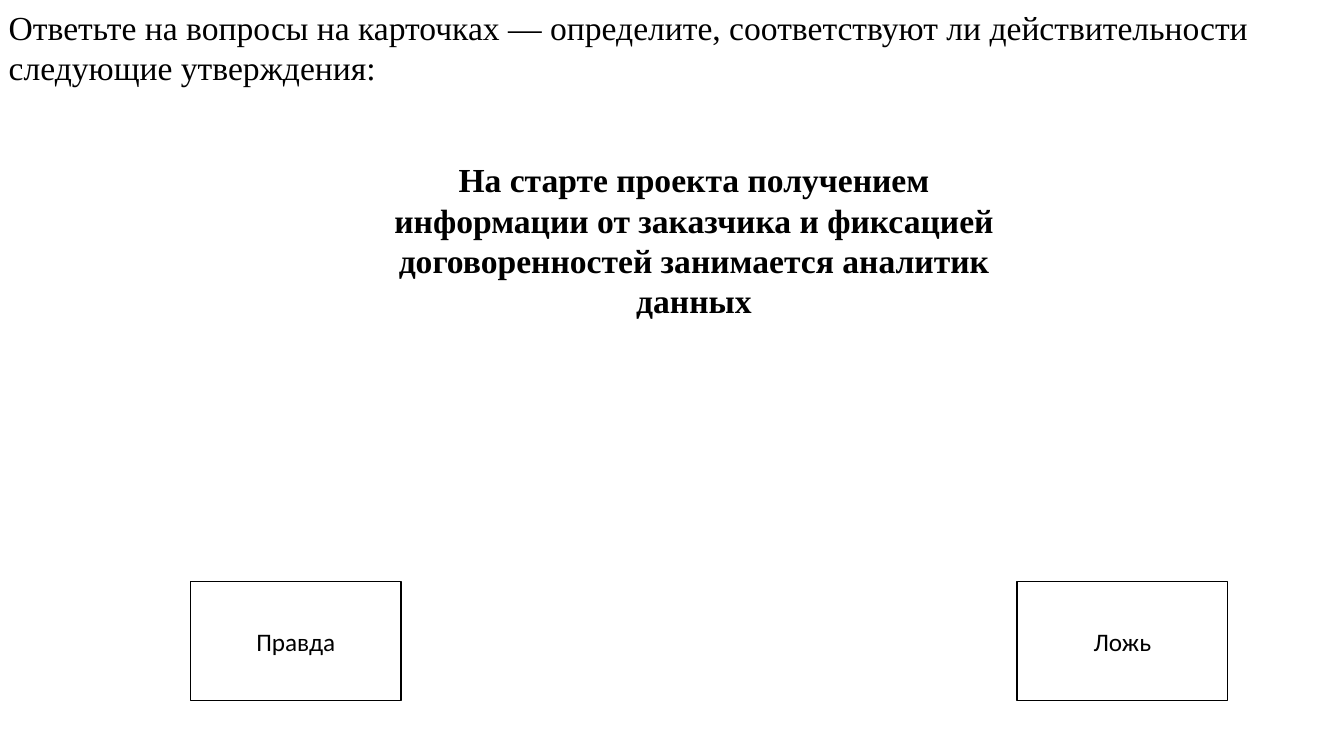
from dataclasses import dataclass

from pptx import Presentation
from pptx.dml.color import RGBColor
from pptx.enum.shapes import MSO_SHAPE
from pptx.enum.text import MSO_ANCHOR, MSO_AUTO_SIZE, PP_ALIGN
from pptx.slide import Slide
from pptx.text.text import TextFrame
from pptx.util import Cm, Pt


@dataclass(frozen=True)
class Theme:
    ink: RGBColor = RGBColor(0, 0, 0)
    paper: RGBColor = RGBColor(255, 255, 255)
    text_font: str = "Times New Roman"
    answer_font: str = "Calibri"
    text_size: Pt = Pt(24)
    answer_size: Pt = Pt(18)
    outline: Pt = Pt(1)


@dataclass(frozen=True)
class TextBlock:
    text: str
    left: Cm
    top: Cm
    width: Cm
    height: Cm
    alignment: PP_ALIGN
    bold: bool


@dataclass(frozen=True)
class Answer:
    text: str
    left: Cm


THEME = Theme()
ANSWER_TOP, ANSWER_WIDTH, ANSWER_HEIGHT = Cm(14.66), Cm(5.31), Cm(3)

STATEMENT = TextBlock(
    "На старте проекта получением информации от заказчика и фиксацией "
    "договоренностей занимается аналитик данных",
    Cm(9.12), Cm(3.89), Cm(16.74), Cm(4.37), PP_ALIGN.CENTER, True,
)
INSTRUCTION = TextBlock(
    "Ответьте на вопросы на карточках — определите, соответствуют ли "
    "действительности следующие утверждения:",
    Cm(-0.03), Cm(0.05), Cm(33.91), Cm(2.31), PP_ALIGN.LEFT, False,
)
ANSWERS = (Answer("Правда", Cm(4.8)), Answer("Ложь", Cm(25.63)))


def write_text(frame: TextFrame, text: str, alignment: PP_ALIGN,
               font_name: str, size: Pt, bold: bool = False) -> None:
    frame.word_wrap = True
    paragraph = frame.paragraphs[0]
    paragraph.text = text
    paragraph.alignment = alignment
    font = paragraph.font
    font.name, font.size, font.bold = font_name, size, bold
    font.color.rgb = THEME.ink


def add_text_block(slide: Slide, block: TextBlock) -> None:
    frame = slide.shapes.add_textbox(
        block.left, block.top, block.width, block.height).text_frame
    frame.auto_size = MSO_AUTO_SIZE.SHAPE_TO_FIT_TEXT
    write_text(frame, block.text, block.alignment,
               THEME.text_font, THEME.text_size, block.bold)


def add_answer(slide: Slide, answer: Answer) -> None:
    shape = slide.shapes.add_shape(
        MSO_SHAPE.RECTANGLE, answer.left, ANSWER_TOP, ANSWER_WIDTH, ANSWER_HEIGHT)
    shape.shadow.inherit = False
    shape.fill.solid()
    shape.fill.fore_color.rgb = THEME.paper
    shape.line.color.rgb = THEME.ink
    shape.line.width = THEME.outline
    shape.text_frame.vertical_anchor = MSO_ANCHOR.MIDDLE
    write_text(shape.text_frame, answer.text, PP_ALIGN.CENTER,
               THEME.answer_font, THEME.answer_size)


def main() -> None:
    presentation = Presentation()
    presentation.slide_width, presentation.slide_height = Cm(33.87), Cm(19.05)
    slide = presentation.slides.add_slide(presentation.slide_layouts[6])
    add_text_block(slide, STATEMENT)
    for answer in ANSWERS:
        add_answer(slide, answer)
    add_text_block(slide, INSTRUCTION)
    presentation.save("out.pptx")


if __name__ == "__main__":
    main()
